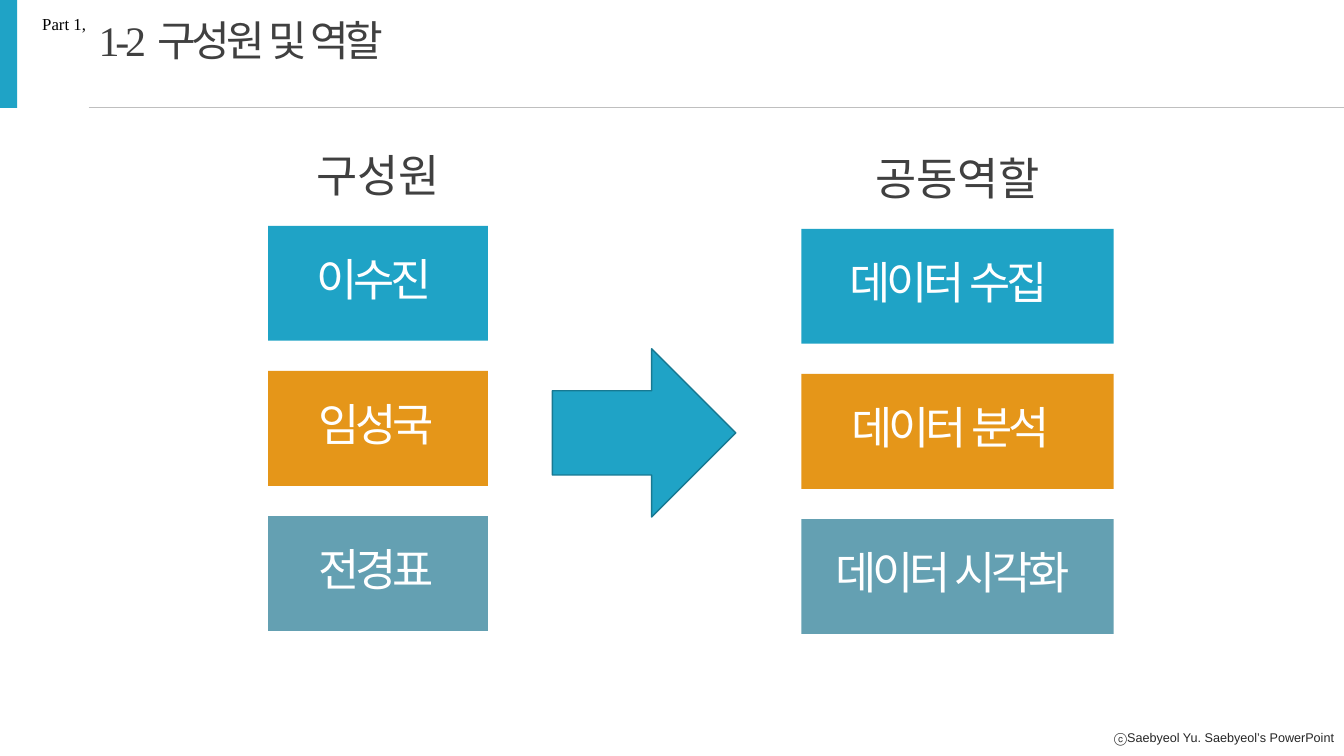
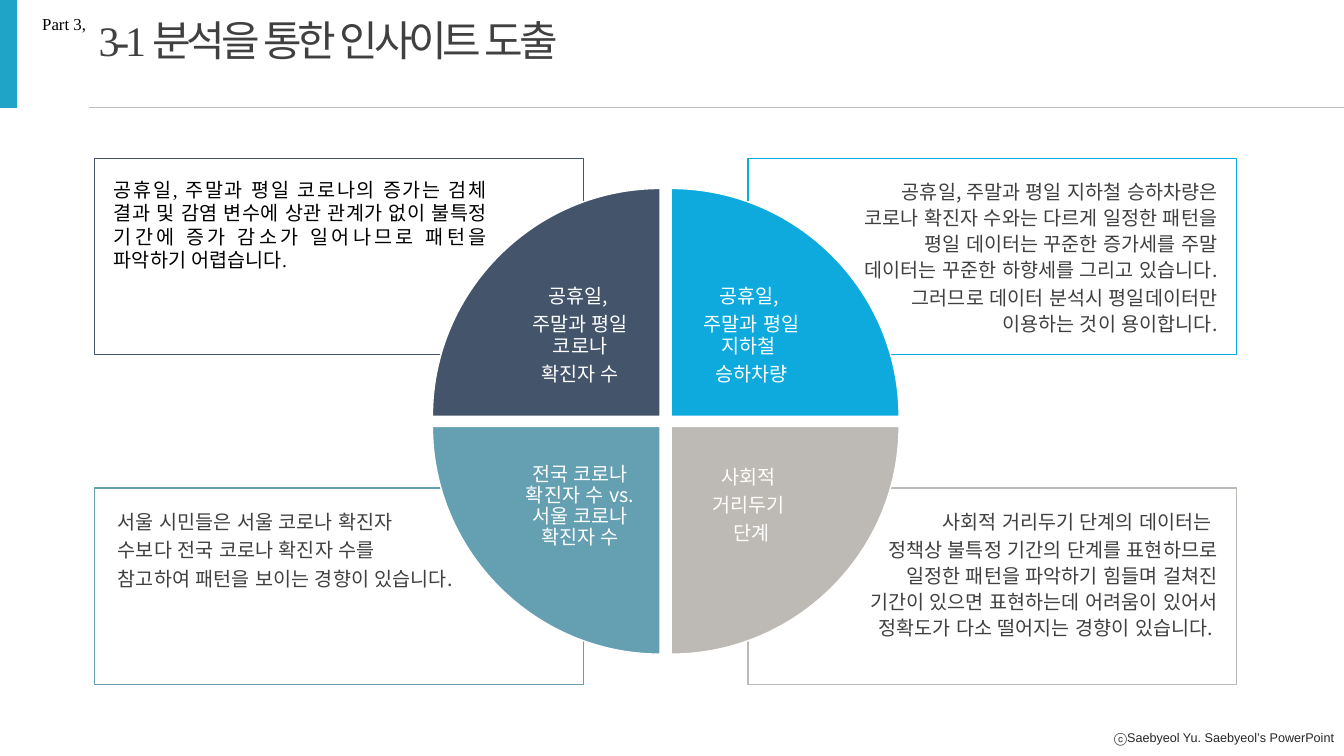
"""Build two slides: team roles and insights from the analysis."""
from lxml.etree import SubElement
from pptx import Presentation
from pptx.dml.color import RGBColor
from pptx.enum.lang import MSO_LANGUAGE_ID
from pptx.enum.shapes import MSO_CONNECTOR, MSO_SHAPE
from pptx.enum.text import MSO_ANCHOR, MSO_AUTO_SIZE, PP_ALIGN
from pptx.oxml.ns import qn
from pptx.util import Inches, Pt

SLIDE_W, SLIDE_H = 40 / 3, 7.5
SERIF, SANS, FOOTER_FONT = "Times New Roman", "Noto Sans CJK KR", "Arial"
TEAL, ORANGE, MIST = "1FA3C6", "E59619", "64A0B2"
NAVY, SKY, STONE = "44546A", "0EAADD", "BDBAB5"
WHITE, BLACK, INK, RULE = "FFFFFF", "000000", "404040", "BFBFBF"
LEFT, CENTER, RIGHT, JUSTIFY = PP_ALIGN.LEFT, PP_ALIGN.CENTER, PP_ALIGN.RIGHT, PP_ALIGN.JUSTIFY
FOOTER = "ⓒSaebyeol Yu. Saebyeol’s PowerPoint"
BAND_H, MARGIN, TIGHT = 1.07, 0.88, -3

ROLE_COLORS = [TEAL, ORANGE, MIST]
ROLE_COLUMNS = [
    ("구성원", 2.66, 2.24, 2.18,
     [("이수진", 0.38, 1.42), ("임성국", 0.4, 1.42), ("전경표", 0.4, 1.42)]),
    ("공동역할", 7.95, 2.27, 3.1,
     [("데이터 수집", 0.38, 2.3), ("데이터 분석", 0.4, 2.3), ("데이터 시각화", 0.24, 2.7)]),
]
CARD_H, CARD_PITCH, HEADING_RISE, LABEL_DROP, LABEL_H = 1.14, 1.44, 0.82, 0.21, 0.64

PANEL_STYLE = dict(size=14, font=SANS, color=INK, spacing=1.1, after=2)
PLAIN_STYLE = dict(size=14, font=SERIF, color=BLACK, align=JUSTIFY)
INSIGHTS = [
    dict(col=1, row=1, color=STONE, topic=["사회적 ", "거리두기 ", "단계"],
         style=dict(PANEL_STYLE, align=RIGHT),
         finding=["사회적 거리두기 단계의 데이터는 ",
                  "정책상 불특정 기간의 단계를 표현하므로 일정한 패턴을 파악하기 힘들며 걸쳐진 "
                  "기간이 있으면 표현하는데 어려움이 있어서 정확도가 다소 떨어지는 경향이 있습니다. "]),
    dict(col=0, row=1, color=MIST, topic=["전국 코로나 확진자 수 vs. 서울 코로나 확진자 수"],
         style=dict(PANEL_STYLE, align=LEFT),
         finding=["서울 시민들은 서울 코로나 확진자", "수보다 전국 코로나 확진자 수를",
                  "참고하여 패턴을 보이는 경향이 있습니다."]),
    dict(col=1, row=0, color=SKY, topic=["공휴일, ", "주말과 평일 지하철 ", "승하차량"],
         style=dict(PANEL_STYLE, align=RIGHT),
         finding=["공휴일, 주말과 평일 지하철 승하차량은 코로나 확진자 수와는 다르게 일정한 패턴을 "
                  "평일 데이터는 꾸준한 증가세를 주말 데이터는 꾸준한 하향세를 그리고 있습니다.",
                  "그러므로 데이터 분석시 평일데이터만 이용하는 것이 용이합니다."]),
    dict(col=0, row=0, color=NAVY, topic=["공휴일, ", "주말과 평일 코로나", "확진자 수"],
         style=PLAIN_STYLE,
         finding=["공휴일, 주말과 평일 코로나의 증가는 검체 결과 및 감염 변수에 상관 관계가 없이 "
                  "불특정 기간에 증가 감소가 일어나므로 패턴을 파악하기 어렵습니다."]),
]
PANEL_X, PANEL_Y, PANEL_W, PANEL_H = (0.94, 7.42), (1.57, 4.84), 4.85, 1.95
HUB_X, HUB_Y, RADIUS, ARC_PULL = (6.55, 6.66), (4.13, 4.23), 2.26, 0.55


def rgb(value):
    return RGBColor.from_string(value)


def paint(shape, fill, line=None):
    shape.shadow.inherit = False
    shape.fill.solid()
    shape.fill.fore_color.rgb = rgb(fill)
    if line:
        shape.line.color.rgb = rgb(line)
        shape.line.width = Pt(1)
    else:
        shape.line.fill.background()
    return shape


def block(slide, kind, box, fill, line=None):
    return paint(slide.shapes.add_shape(kind, *map(Inches, box)), fill, line)


def write(shape, paragraphs, size, font, color, align=LEFT, spacing=1.0, after=0,
          tracking=0, insets=(0.1, 0.05, 0.1, 0.05), anchor=MSO_ANCHOR.TOP, wrap=True):
    """Fill a shape; a paragraph is a text or a list of (text, tracking) runs."""
    frame = shape.text_frame
    frame.word_wrap = wrap
    frame.vertical_anchor = anchor
    frame.margin_left, frame.margin_top, frame.margin_right, frame.margin_bottom = map(Inches, insets)
    for index, content in enumerate(paragraphs):
        paragraph = frame.add_paragraph() if index else frame.paragraphs[0]
        paragraph.alignment = align
        paragraph.line_spacing = spacing
        paragraph.space_after = Pt(after)
        pieces = [(content, tracking)] if isinstance(content, str) else content
        for text, run_tracking in pieces:
            run = paragraph.add_run()
            run.text = text
            run.font.size = Pt(size)
            run.font.name = font
            run.font.color.rgb = rgb(color)
            run.font.language_id = MSO_LANGUAGE_ID.KOREAN
            properties = run.font._element
            SubElement(properties, qn("a:ea")).set("typeface", SANS)
            if run_tracking:
                properties.set("spc", str(round(run_tracking * 100)))


def label(slide, box, content, size, font, color, **style):
    textbox = slide.shapes.add_textbox(*map(Inches, box))
    write(textbox, [content], size, font, color, **style)
    textbox.text_frame.auto_size = MSO_AUTO_SIZE.SHAPE_TO_FIT_TEXT


def add_page(deck, part, title, title_w):
    slide = deck.slides.add_slide(deck.slide_layouts[6])
    label(slide, (SLIDE_W - 2.4, 7.19, 2.4, 0.25), FOOTER, 9, FOOTER_FONT, "262626",
          align=RIGHT, wrap=False)
    block(slide, MSO_SHAPE.RECTANGLE, (0, 0, 0.17, BAND_H), TEAL)
    label(slide, (MARGIN, 0.09, title_w, 0.61), title, 30, SERIF, INK, tracking=TIGHT, wrap=False)
    rule = slide.shapes.add_connector(
        MSO_CONNECTOR.STRAIGHT, *map(Inches, (MARGIN, BAND_H, SLIDE_W, BAND_H)))
    rule.line.color.rgb = rgb(RULE)
    rule.line.width = Pt(0.5)
    SubElement(rule._element.spPr, qn("a:effectLst"))
    label(slide, (0.32, 0.09, 0.68, 0.3), part, 12, SERIF, BLACK, wrap=False)
    return slide


def add_roles(slide):
    for heading, left, top, width, cards in ROLE_COLUMNS:
        for row, (text, indent, text_w) in enumerate(cards):
            card_y = top + row * CARD_PITCH
            block(slide, MSO_SHAPE.RECTANGLE, (left, card_y, width, CARD_H), ROLE_COLORS[row])
            label(slide, (left + indent, card_y + LABEL_DROP, text_w, LABEL_H), text, 32, SANS,
                  WHITE, tracking=TIGHT, wrap=False)
        label(slide, (left, top - HEADING_RISE, width, LABEL_H), heading, 32, SERIF, INK,
              align=CENTER)
    block(slide, MSO_SHAPE.RIGHT_ARROW, (5.48, 3.46, 1.82, 1.67), TEAL, "177992")


def add_panel(slide, col, row, color, finding, style, **_):
    panel = block(slide, MSO_SHAPE.RECTANGLE,
                  (PANEL_X[col], PANEL_Y[row], PANEL_W, PANEL_H), WHITE, color)
    insets = (1.02, 0.19, 0.19, 0.61) if col else (0.23 if row else 0.19, 0.19, 0.96, 0.61)
    write(panel, finding, insets=insets, **style)


def add_wedge(slide, col, row, color, topic, **_):
    hub_x, hub_y = HUB_X[col], HUB_Y[row]
    reach_x, reach_y = (2 * col - 1) * RADIUS, (2 * row - 1) * RADIUS
    side, tip, hub = (hub_x + reach_x, hub_y), (hub_x, hub_y + reach_y), (hub_x, hub_y)
    outline = slide.shapes.build_freeform(*map(Inches, side))
    outline.add_line_segments([tuple(map(Inches, point)) for point in (tip, hub)], close=True)
    wedge = paint(outline.convert_to_shape(), color, WHITE)

    edge = next(wedge._element.iter(qn("a:lnTo")))
    curve = edge.makeelement(qn("a:cubicBezTo"))
    controls = [(side[0], hub_y + reach_y * ARC_PULL), (hub_x + reach_x * ARC_PULL, tip[1]), tip]
    for x, y in controls:
        point = SubElement(curve, qn("a:pt"))
        point.set("x", str(Inches(x) - wedge.left))
        point.set("y", str(Inches(y) - wedge.top))
    edge.getparent().replace(edge, curve)

    across = (0.23, 0.9) if col else (0.9, 0.23)
    down = (0.23, 0.9) if row else (0.9, 0.23)
    write(wedge, topic, 14, SANS, WHITE, align=CENTER, spacing=0.9, after=5,
          insets=(across[0], down[0], across[1], down[1]), anchor=MSO_ANCHOR.MIDDLE)


def main():
    deck = Presentation()
    deck.slide_width, deck.slide_height = Inches(SLIDE_W), Inches(SLIDE_H)
    roles_title = [("1-2", TIGHT), (" ", 0.6), ("구성원 및 역할", TIGHT)]
    add_roles(add_page(deck, "Part 1,", roles_title, 3.16))
    insights = add_page(deck, "Part 3,", "3-1 분석을 통한 인사이트 도출", 5.05)
    for add_piece in (add_panel, add_wedge):
        for insight in INSIGHTS:
            add_piece(insights, **insight)
    deck.save("out.pptx")


if __name__ == "__main__":
    main()
